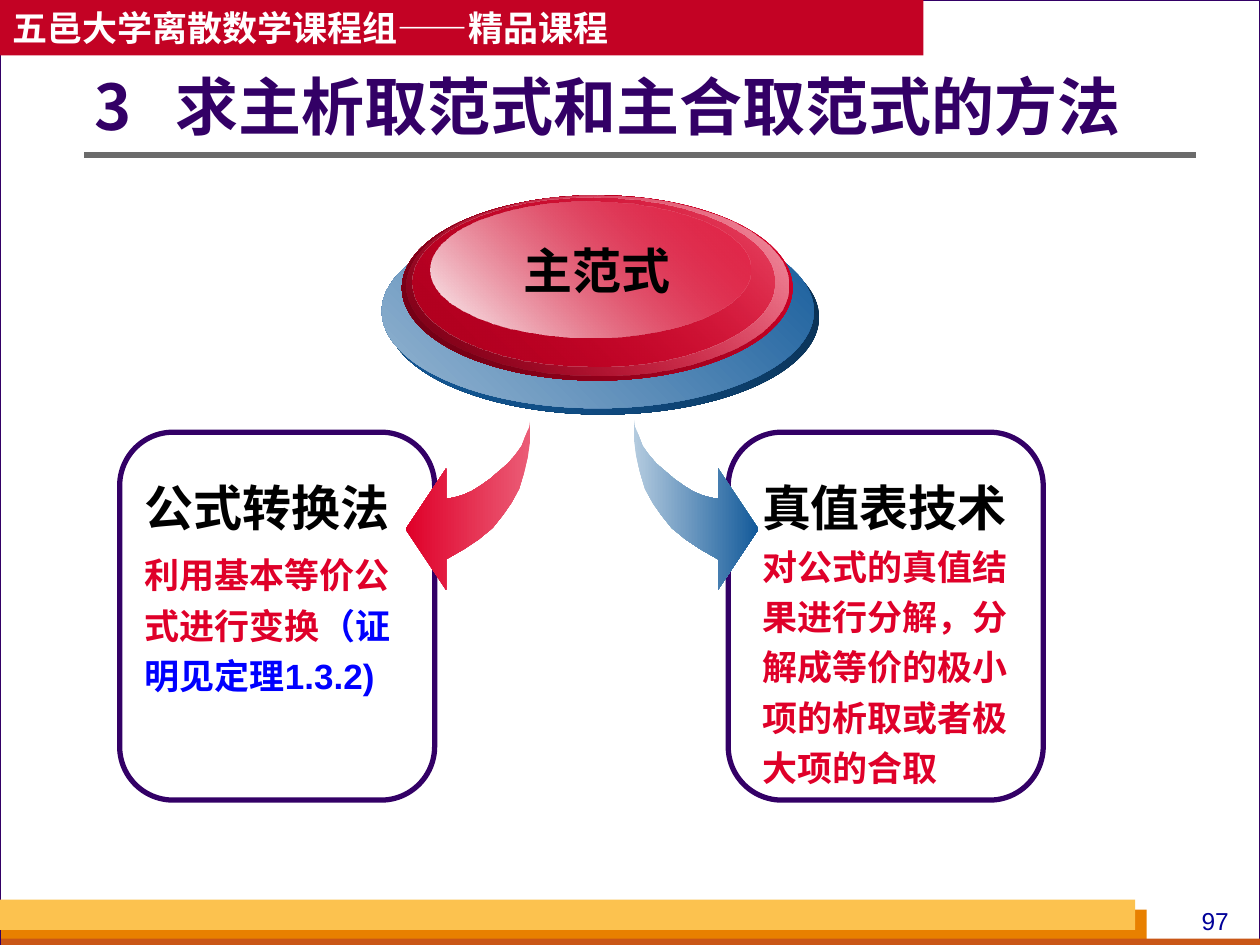
"""Build a slide on two ways to obtain principal normal forms."""
from lxml import etree
from pptx import Presentation
from pptx import util as u
from pptx.dml.color import RGBColor
from pptx.enum import shapes, text
from pptx.oxml.ns import qn

COLUMNS, ROWS = 100, 75
CELL = u.Inches(10) // COLUMNS
SANS, CJK = "Arial", "Noto Sans CJK SC"

WHITE = RGBColor(0xFF, 0xFF, 0xFF)
BLACK = RGBColor(0, 0, 0)
BACKDROP = RGBColor(0xD8, 0xDA, 0xDA)
PURPLE = RGBColor(0x33, 0x00, 0x66)
BANNER = RGBColor(0xC3, 0x02, 0x24)
ORANGE = RGBColor(0xE8, 0x80, 0x00)
RUST = RGBColor(0xC9, 0x56, 0x16)
AMBER = RGBColor(0xFC, 0xC2, 0x4F)
GREY = RGBColor(0x6B, 0x6B, 0x6B)
NAVY = RGBColor(0x00, 0x00, 0x99)
LINK_BLUE = RGBColor(0x00, 0x00, 0xFF)
RED = RGBColor(0xDF, 0x00, 0x29)
PINK = RGBColor(0xEB, 0x5D, 0x77)
PALE_PINK = RGBColor(0xF4, 0xA6, 0xB4)
CRIMSON = RGBColor(0xB1, 0x00, 0x20)
MAROON = RGBColor(0x67, 0x00, 0x13)
BLUE = RGBColor(0x13, 0x5A, 0x9A)
DARK_BLUE = RGBColor(0x09, 0x2C, 0x4B)
SOFT_BLUE = RGBColor(0x96, 0xB6, 0xD2)
PALE_BLUE = RGBColor(0xB4, 0xCB, 0xDF)

DISCS = [
    ((30.7, 17.5, 34.3, 15.4), (DARK_BLUE, 100), (BLUE, 100)),
    ((30.3, 17, 34.3, 15.4), (BLUE, 100), (SOFT_BLUE, 100)),
    ((31.9, 15.5, 31, 14.7), (RED, 100), (MAROON, 100)),
    ((32.3, 15.5, 30.3, 14.3), (PALE_PINK, 100), (RED, 0)),
    ((32.7, 15.7, 28.8, 13.4), (RED, 48), (CRIMSON, 100)),
    ((34.2, 16, 25.4, 10.8), (RED, 38), (WHITE, 100)),
]
ARROW = [
    (0, 0), (0, 1.6), (0.2, 3), (0.5, 4.3), (0.9, 5.6), (1.5, 6.7), (2.2, 7.7),
    (3, 8.7), (4.1, 9.6), (5.3, 10.4), (6.7, 11.2), (6.7, 13.6), (9.9, 8.8),
    (6.7, 4), (6.7, 6.4), (6.1, 6.3), (5.4, 6.1), (4.7, 5.8), (3.9, 5.3),
    (3.2, 4.8), (2.5, 4.2), (1.8, 3.6), (1.2, 2.9), (0.7, 2.2), (0.4, 1.4),
    (0.1, 0.7),
]


def cells(*lengths):
    """Turn grid lengths into EMU."""
    return [round(n * CELL) for n in lengths]


def set_gradient(sp, angle, *stops):
    """Fill a shape with a linear gradient of (colour, opacity) stops."""
    sp.fill.background()
    old = sp._element.spPr.find(qn("a:noFill"))
    grad = etree.Element(qn("a:gradFill"), rotWithShape="1")
    gs_list = etree.SubElement(grad, qn("a:gsLst"))
    for i, (color, opacity) in enumerate(stops):
        gs = etree.SubElement(gs_list, qn("a:gs"), pos=str(i * 100000))
        clr = etree.SubElement(gs, qn("a:srgbClr"), val=str(color))
        if opacity < 100:
            etree.SubElement(clr, qn("a:alpha"), val=str(opacity * 1000))
    etree.SubElement(grad, qn("a:lin"), ang=str(angle * 60000), scaled="0")
    old.getparent().replace(old, grad)


def add_block(s, kind, box, fill=None, line=None, width=0):
    """Add a preset shape with an optional fill and outline."""
    sp = s.shapes.add_shape(kind, *cells(*box))
    sp.shadow.inherit = False
    if fill is None:
        sp.fill.background()
    else:
        sp.fill.solid()
        sp.fill.fore_color.rgb = fill
    if line is None:
        sp.line.fill.background()
    else:
        sp.line.color.rgb = line
        sp.line.width = u.Pt(width)
    return sp


def add_box(s, box, anchor=text.MSO_ANCHOR.TOP):
    """Add a wrapping text box and return its frame."""
    tf = s.shapes.add_textbox(*cells(*box)).text_frame
    tf.word_wrap = True
    tf.vertical_anchor = anchor
    return tf


def write(p, words, size, color, bold=True, font=CJK, align=None, spacing=None):
    """Append a formatted run to a paragraph."""
    r = p.add_run()
    r.text = words
    r.font.size, r.font.bold, r.font.name = u.Pt(size), bold, font
    r.font.color.rgb = color
    etree.SubElement(r.font._element, qn("a:ea"), typeface=CJK)
    if align is not None:
        p.alignment = align
    if spacing is not None:
        p.line_spacing = spacing


def add_arrow(s, x, y, direction, angle, *colors):
    """Add a curved arrow that swings left (-1) or right (1)."""
    points = [cells(x + direction * dx, y + dy) for dx, dy in ARROW]
    builder = s.shapes.build_freeform(*points[0])
    builder.add_line_segments(points[1:], close=True)
    sp = builder.convert_to_shape()
    sp.shadow.inherit = False
    sp.line.fill.background()
    set_gradient(sp, angle, *((c, 100) for c in colors))


def add_frame(s, x):
    """Add an outlined rounded panel."""
    box = (x, 34.3, 25, 29.2)
    sp = add_block(s, shapes.MSO_SHAPE.ROUNDED_RECTANGLE, box, line=PURPLE, width=3)
    sp.adjustments[0] = 0.17


def add_furniture(s):
    """Add the page, banner, footer bars, page number and title rule."""
    rect = shapes.MSO_SHAPE.RECTANGLE
    add_block(s, rect, (0, 0, COLUMNS, ROWS), WHITE, PURPLE, 0.75)
    tf = add_block(s, rect, (0, 0, 73.3, 4.4), BANNER).text_frame
    tf.word_wrap = False
    write(tf.paragraphs[0], "五邑大学离散数学课程组——精品课程", 20, WHITE,
          align=text.PP_ALIGN.LEFT)
    add_block(s, rect, (0.1, 72.2, 90.9, 2.8), ORANGE)
    add_block(s, rect, (0.1, 74.5, COLUMNS, 0.8), RUST)
    add_block(s, rect, (0, 71.4, 90.1, 2.4), AMBER)
    write(add_box(s, (93.3, 71.4, 6.3, 3.4)).paragraphs[0], "97", 14, NAVY,
          bold=False, font=SANS, align=text.PP_ALIGN.CENTER)
    rule = s.shapes.add_connector(shapes.MSO_CONNECTOR.STRAIGHT,
                                  *cells(6.7, 12.3, 94.9, 12.3))
    rule.line.color.rgb = GREY
    rule.line.width = u.Pt(3)
    etree.SubElement(rule._element.spPr, qn("a:effectLst"))


def add_title(s):
    """Add the slide title with its number set off by a tab."""
    tf = add_box(s, (7.5, 6.2, 84.9, 5.1), text.MSO_ANCHOR.MIDDLE)
    tf.margin_left = 0
    p = tf.paragraphs[0]
    tabs = etree.SubElement(p._p.get_or_add_pPr(), qn("a:tabLst"))
    etree.SubElement(tabs, qn("a:tab"), pos=str(cells(6.4)[0]), algn="l")
    write(p, "3\t求主析取范式和主合取范式的方法", 36, PURPLE, spacing=0.9)


def add_formula_panel(s):
    """Add the panel on conversion by equivalences."""
    add_frame(s, 9.5)
    tf = add_box(s, (10.5, 36.5, 22.3, 19.3))
    write(tf.paragraphs[0], "公式转换法", 28, BLACK, font=SANS, spacing=1.2)
    p = tf.add_paragraph()
    p.space_before = u.Pt(5)
    write(p, "利用基本等价公式进行变换", 20, RED, font=SANS, spacing=1.2)
    write(p, "（证明见定理1.3.2)", 20, LINK_BLUE, font=SANS)


def add_table_panel(s):
    """Add the panel on the truth table technique."""
    add_frame(s, 57.8)
    p = add_box(s, (59.5, 36.5, 22.3, 26.6)).paragraphs[0]
    write(p, "真值表技术", 28, BLACK, spacing=1.2)
    write(p, "对公式的真值结果进行分解，分解成等价的极小项的析取或者极大项的合取", 20, RED)


def add_hub(s):
    """Add the stacked discs and their label."""
    for box, *stops in DISCS:
        set_gradient(add_block(s, shapes.MSO_SHAPE.OVAL, box), 135, *stops)
    write(add_box(s, (39.3, 18.6, 16.2, 5.7)).paragraphs[0], "主范式", 28, BLACK,
          font=SANS, align=text.PP_ALIGN.CENTER)


def main():
    """Assemble and save the slide."""
    prs = Presentation()
    prs.slide_width, prs.slide_height = cells(COLUMNS, ROWS)
    s = prs.slides.add_slide(prs.slide_layouts[6])
    s.background.fill.solid()
    s.background.fill.fore_color.rgb = BACKDROP
    add_furniture(s)
    add_title(s)
    add_formula_panel(s)
    add_arrow(s, 42.1, 33.2, -1, 180, PINK, RED)
    add_hub(s)
    add_table_panel(s)
    add_arrow(s, 50.3, 33.2, 1, 0, PALE_BLUE, BLUE)
    prs.save("out.pptx")


if __name__ == "__main__":
    main()
